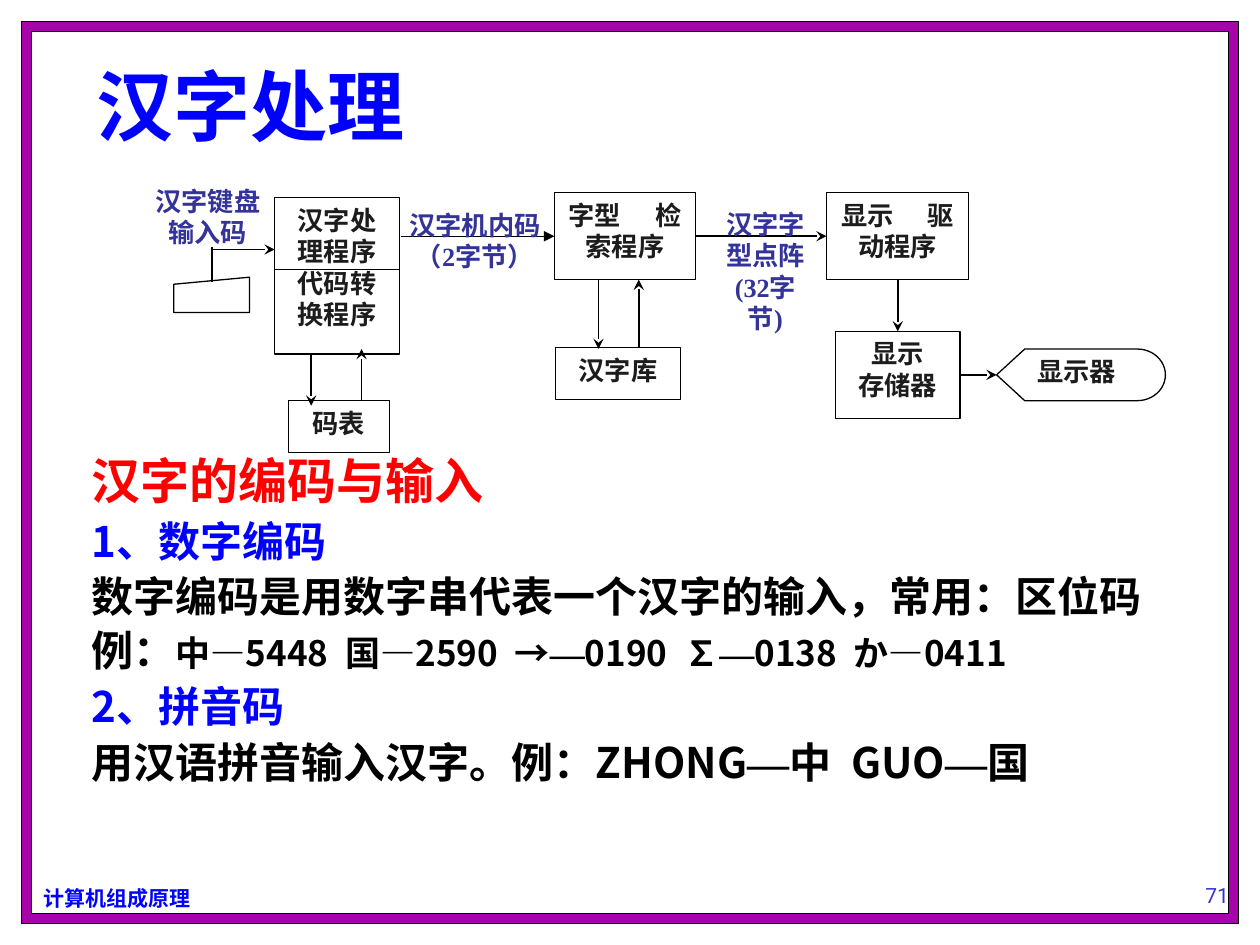
import dataclasses

import pptx
import pptx.dml.color
import pptx.enum.shapes
import pptx.enum.text
import pptx.oxml.ns
import pptx.util
from lxml import etree

SHAPE = pptx.enum.shapes.MSO_SHAPE
ALIGN = pptx.enum.text.PP_ALIGN
ANCHOR = pptx.enum.text.MSO_ANCHOR
qn = pptx.oxml.ns.qn


@dataclasses.dataclass(frozen=True)
class Theme:
    blue: str = "0000FF"
    red: str = "FF0000"
    black: str = "000000"
    white: str = "FFFFFF"
    purple: str = "A603AB"
    indigo: str = "3333CC"
    label: str = "333399"
    node: str = "1C1C1C"
    sans: str = "Noto Sans CJK SC"
    serif: str = "Times New Roman"
    plain: str = "Roboto"
    title_size: int = 44
    head_size: int = 28
    body_size: int = 24
    example_size: int = 20
    node_size: int = 15
    small_size: int = 12
    node_gap: int = 16
    thin: float = 0.75
    arrow: float = 1


THEME = Theme()
CELL = pptx.util.Inches(0.1)


@dataclasses.dataclass(frozen=True)
class Box:
    x: float
    y: float
    w: float
    h: float

    def sub(self, x, y, w, h):
        return Box(self.x + x, self.y + y, w, h)

    def point(self, x, y):
        return round((self.x + x) * CELL), round((self.y + y) * CELL)

    def emu(self):
        return [round(v * CELL) for v in (self.x, self.y, self.w, self.h)]


def rgb(value):
    return pptx.dml.color.RGBColor.from_string(value)


def assign(target, values):
    for name, value in values.items():
        setattr(target, name, value)


def add_run(p, text, size, color, font=THEME.sans, bold=True, gap=0):
    r = p.add_run()
    r.text = text
    assign(r.font, {"size": pptx.util.Pt(size), "name": font, "bold": bold})
    r.font.color.rgb = rgb(color)
    props = r.font._element
    etree.SubElement(props, qn("a:ea")).set("typeface", THEME.sans)
    if gap:
        props.set("spc", str(round(gap * 100)))


def add_text(s, box, text, anchor=ANCHOR.TOP, align=ALIGN.LEFT, **style):
    sp = s.shapes.add_textbox(*box.emu())
    assign(sp.text_frame, {"word_wrap": True, "vertical_anchor": anchor})
    fill_paragraphs(sp.text_frame, text, align, **style)
    return sp


def fill_paragraphs(tf, text, align, **style):
    for i, line in enumerate(text.split("\n")):
        p = tf.paragraphs[0] if i == 0 else tf.add_paragraph()
        p.alignment = align
        for j, part in enumerate(line.split("|")):
            if j:
                add_run(p, " ", gap=THEME.node_gap, **style)
            for k, piece in enumerate(part.split("\v")):
                if k:
                    p.add_line_break()
                add_run(p, piece, **style)


def add_node(s, box, text="", kind=SHAPE.RECTANGLE, fill=THEME.white, align=ALIGN.CENTER):
    sp = s.shapes.add_shape(kind, *box.emu())
    sp.shadow.inherit = False
    sp.fill.solid()
    sp.fill.fore_color.rgb = rgb(fill)
    sp.line.color.rgb = rgb(THEME.black)
    sp.line.width = pptx.util.Pt(THEME.thin)
    if text:
        assign(sp.text_frame, {"word_wrap": True, "vertical_anchor": ANCHOR.TOP})
        fill_paragraphs(sp.text_frame, text, align, size=THEME.node_size,
                        color=THEME.node, font=THEME.serif)
    return sp


def add_line(s, start, end, head=None, width=THEME.arrow, begin=None, finish=None):
    c = s.shapes.add_connector(pptx.enum.shapes.MSO_CONNECTOR.STRAIGHT, *start, *end)
    if begin:
        c.begin_connect(*begin)
    if finish:
        c.end_connect(*finish)
    c.line.color.rgb = rgb(THEME.black)
    c.line.width = pptx.util.Pt(width)
    if head:
        etree.SubElement(c.line._get_or_add_ln(), qn("a:tailEnd")).set("type", head)
    etree.SubElement(c._element.spPr, qn("a:effectLst"))


def draw_frame(s, box):
    for inset, fill in ((1.7, THEME.purple), (2.5, THEME.white)):
        add_node(s, box.sub(inset, inset, box.w - 2 * inset, box.h - 2 * inset), fill=fill)
    add_text(s, box.sub(2.5, 69.8, 18, 3), "计算机组成原理",
             size=THEME.small_size, color=THEME.blue)
    add_text(s, box.sub(93.2, 67.5, 6.8, 5), "71", ANCHOR.BOTTOM, ALIGN.CENTER,
             size=THEME.small_size, color=THEME.indigo, font=THEME.plain, bold=False)


def draw_title(s, box):
    add_text(s, box, "汉字处理", ANCHOR.BOTTOM, size=THEME.title_size,
             color=THEME.blue, font=THEME.plain)


def draw_flow(s, box):
    add_node(s, box.sub(2.8, 7.8, 6, 2.8), kind=SHAPE.FLOWCHART_MANUAL_INPUT)
    add_node(s, box.sub(10.8, 1.5, 9.9, 12.4), "汉字处理程序\n代码转换程序")
    add_line(s, box.point(10.8, 7.2), box.point(20.7, 7.2), width=THEME.thin)
    add_node(s, box.sub(11.9, 17.6, 8, 4.1), "码表")
    search = add_node(s, box.sub(33, 1.1, 11.2, 6.9), "字型|检\v索程序")
    driver = add_node(s, box.sub(54.6, 1.1, 11.3, 6.9), "显示|驱\v动程序")
    add_node(s, box.sub(33.1, 13.4, 9.9, 4.1), "汉字库")
    memory = add_node(s, box.sub(55.3, 12.1, 9.9, 6.9), "显示\v存储器")
    screen = add_node(s, box.sub(68.1, 13.5, 13.4, 4.1), "显示器",
                      SHAPE.FLOWCHART_DISPLAY, align=ALIGN.LEFT)

    add_line(s, box.point(5.8, 8.2), box.point(5.8, 5.4))
    arrows = (
        ((5.8, 5.6), (10.8, 5.6)),
        ((13.7, 13.9), (13.7, 18)),
        ((17.7, 17.6), (17.7, 13.5)),
        ((36.5, 8), (36.5, 13.5)),
        ((39.7, 13.4), (39.7, 8)),
    )
    for start, end in arrows:
        add_line(s, box.point(*start), box.point(*end), "stealth")
    origin = box.point(0, 0)
    for begin, finish in (((search, 3), (driver, 1)), ((driver, 2), (memory, 0)),
                          ((memory, 3), (screen, 1))):
        add_line(s, origin, origin, "stealth", begin=begin, finish=finish)
    add_line(s, box.point(20.8, 4.55), box.point(33, 4.55), "triangle", THEME.thin,
             finish=(search, 1))

    labels = (
        ((0, 0, 11, 6.9), "汉字键盘\v输入码"),
        ((20.2, 1.9, 13, 6.7), "汉字机内码\v（2字节）"),
        ((44.8, 1.8, 9.9, 8.9), "汉字字\v型点阵\v(32字\v节)"),
    )
    for place, text in labels:
        add_text(s, box.sub(*place), text, align=ALIGN.CENTER, size=THEME.node_size,
                 color=THEME.label, font=THEME.serif)


def draw_body(s, box):
    t = THEME
    lines = (
        (0, t.red, (("汉字的编码与输入", t.head_size),)),
        (6, t.blue, (("1、数字编码", t.body_size),)),
        (6, t.black, (("数字编码是用数字串代表一个汉字的输入，常用：区位码", t.body_size),)),
        (5, t.black, (("例：", t.body_size),
                      ("中—5448|国—2590|→—0190|∑—0138|か—0411", t.example_size))),
        (6, t.blue, (("2、拼音码", t.body_size),)),
        (6, t.black, (("用汉语拼音输入汉字。例：ZHONG—中|GUO—国", t.body_size),)),
    )
    tf = add_text(s, box, "", size=t.body_size, color=t.black).text_frame
    for i, (before, color, parts) in enumerate(lines):
        p = tf.paragraphs[0] if i == 0 else tf.add_paragraph()
        p.clear()
        assign(p, {"line_spacing": 0.9, "space_before": pptx.util.Pt(before)})
        p._p.get_or_add_pPr().set("marL", str(round(3.8 * CELL)))
        for text, size in parts:
            for piece in text.replace("|", "\n|\n").replace("—", "\n—\n").split("\n"):
                if piece == "|":
                    add_run(p, " ", size, color, gap=size / 4)
                elif piece:
                    add_run(p, piece, size, color, t.serif if piece == "—" else t.sans)


def main():
    prs = pptx.Presentation()
    assign(prs, {"slide_width": 100 * CELL, "slide_height": 75 * CELL})
    s = prs.slides.add_slide(prs.slide_layouts[6])
    page = Box(0, 0, 100, 75)
    draw_frame(s, page)
    draw_title(s, page.sub(6.7, 5, 54.2, 7.5))
    draw_body(s, page.sub(2.5, 35.8, 95, 30.2))
    draw_flow(s, page.sub(11, 14.2, 81.5, 21.7))
    prs.save("out.pptx")


if __name__ == "__main__":
    main()
